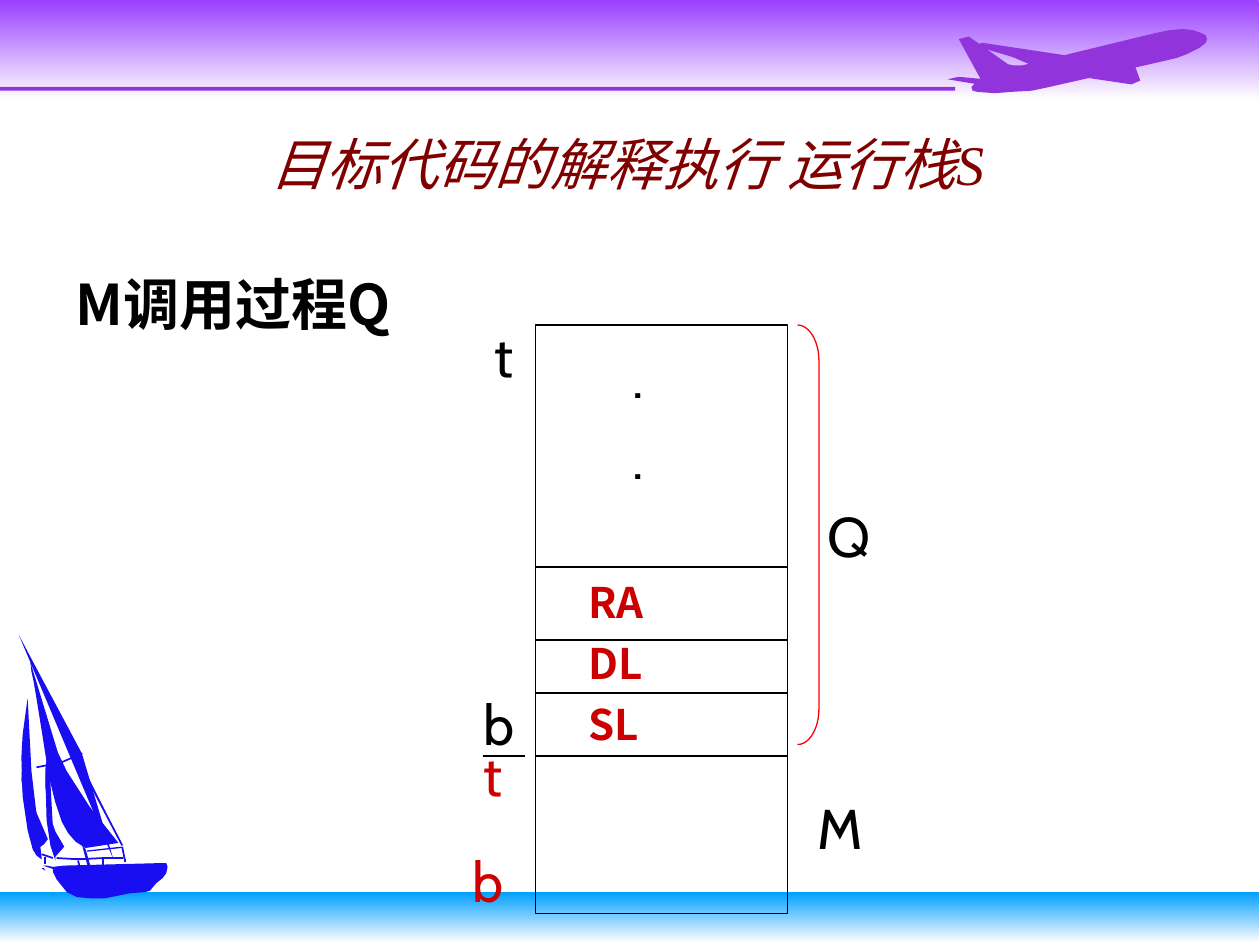
from dataclasses import dataclass
from lxml.etree import SubElement
from pptx import Presentation
from pptx.dml.color import RGBColor
from pptx.enum.shapes import MSO_CONNECTOR, MSO_SHAPE
from pptx.enum.text import MSO_ANCHOR, PP_ALIGN
from pptx.oxml.ns import qn
from pptx.util import Inches, Pt

PURPLE, BLUE, BLACK, RED = "9234DB", "190EF2", "000000", "CC0000"
CABIN, NOTO, TIMES = "Cabin", "Noto Sans CJK SC", "Times New Roman"


@dataclass
class Label:
    lines: list
    box: tuple
    color: str = BLACK
    font: str = CABIN
    size: int = 32
    bold: bool = False
    wrap: bool = False
    space: int = 8
    line_height: float = 0
    indent: float = 0


@dataclass
class Outline:
    color: str
    points: list
    line_width: float = 0


def rgb(value: str) -> RGBColor:
    return RGBColor.from_string(value)


def set_font(paragraph, name: str, **formats) -> None:
    """Format every run for Latin and East Asian text alike."""
    color = formats.pop("color")
    for run in paragraph.runs:
        run.font.name = name
        run.font.color.rgb = rgb(color)
        for key, value in formats.items():
            setattr(run.font, key, value)
        SubElement(run.font._element, qn("a:ea")).set("typeface", NOTO)


def set_indent(paragraph, inches: float) -> None:
    properties = paragraph._p.get_or_add_pPr()
    properties.set("marL", str(Inches(inches)))
    properties.set("indent", "0")


def add_line(slide, start: tuple, end: tuple, color=BLACK, width=0.75) -> None:
    line = slide.shapes.add_connector(
        MSO_CONNECTOR.STRAIGHT, *[Inches(v) for v in start + end])
    line.line.color.rgb = rgb(color)
    line.line.width = Pt(width)
    SubElement(line._element.spPr, qn("a:effectLst"))


def add_preset(slide, box: tuple, kind=MSO_SHAPE.RECTANGLE, fill="", line="", gradient=""):
    shape = slide.shapes.add_shape(kind, *[Inches(v) for v in box])
    shape.shadow.inherit = False
    if gradient:
        shape.fill.gradient()
        shape.fill.gradient_angle = 270
        for stop, color, position in zip(
                shape.fill.gradient_stops, (gradient, "FEFEFE"), (0, 1)):
            stop.color.rgb = rgb(color)
            stop.position = position
    elif fill:
        shape.fill.solid()
        shape.fill.fore_color.rgb = rgb(fill)
    else:
        shape.fill.background()
    if line:
        shape.line.color.rgb = rgb(line)
        shape.line.width = Pt(0.75)
    else:
        shape.line.fill.background()
    return shape


def add_outline(slide, outline: Outline) -> None:
    points = [(Inches(x), Inches(y)) for x, y in outline.points]
    builder = slide.shapes.build_freeform(*points[0])
    builder.add_line_segments(points[1:], close=not outline.line_width)
    shape = builder.convert_to_shape()
    shape.shadow.inherit = False
    shape.fill.solid()
    shape.fill.fore_color.rgb = rgb(outline.color)
    if outline.line_width:
        shape.line.color.rgb = rgb(outline.color)
        shape.line.width = Pt(outline.line_width)
    else:
        shape.line.fill.background()


def add_label(slide, label: Label) -> None:
    frame = slide.shapes.add_textbox(*[Inches(v) for v in label.box]).text_frame
    frame.word_wrap = label.wrap
    for index, line in enumerate(label.lines):
        paragraph = frame.paragraphs[0] if index == 0 else frame.add_paragraph()
        paragraph.text = line
        if index:
            paragraph.space_before = Pt(label.space)
        if label.line_height:
            paragraph.line_spacing = Pt(label.line_height)
        set_indent(paragraph, label.indent)
        set_font(paragraph, label.font, size=Pt(label.size), bold=label.bold,
                 color=label.color)


PLANE = [
    # Fuselage and tail fin
    Outline(PURPLE, [(7.61, .31), (7.69, .29), (8, .51), (8.05, .52), (8.11, .52), (9.18, .26),
                     (9.28, .24), (9.39, .23), (9.47, .24), (9.53, .26), (9.57, .28), (9.58, .31),
                     (9.57, .34), (9.52, .38), (9.42, .43), (9.34, .46), (9.17, .5), (8.33, .69),
                     (8.19, .72), (8.02, .73), (7.9, .74), (7.76, .73), (7.72, .72), (7.71, .69),
                     (7.75, .65), (7.79, .64)]),
    # Wings and tailplane
    Outline(PURPLE, [(8.64, .62), (8.98, .67), (9.05, .64), (9.01, .53)]),
    Outline(PURPLE, [(7.93, .64), (7.91, .65), (7.84, .67), (7.76, .67), (7.52, .63), (7.61, .61)]),
    Outline(PURPLE, [(8.6, .46), (7.8, .34), (7.72, .36), (8.03, .45), (8.22, .53)]),
]
BOAT = [
    # Hull
    Outline(BLUE, [(.42, 6.88), (.51, 6.87), (1.27, 6.85), (1.32, 6.85), (1.33, 6.88), (1.32, 6.93),
                   (1.29, 6.97), (1.24, 7.01), (1.19, 7.07), (1.15, 7.08), (1.03, 7.09), (.83, 7.13),
                   (.72, 7.13), (.61, 7.12), (.53, 7.08), (.45, 6.98), (.42, 6.92)]),
    # Mast and sails
    Outline(BLUE, [(.7, 6.89), (.65, 6.7), (.68, 6.74), (.72, 6.88)]),
    Outline(BLUE, [(.9, 6.82), (.65, 5.98), (.25, 5.23), (.15, 5.04)]),
    Outline(BLUE, [(.48, 6.04), (.4, 5.88), (.31, 5.61), (.25, 5.33), (.24, 5.25)]),
    Outline(BLUE, [(.94, 6.69), (.71, 6.4), (.53, 6.12), (.43, 5.91), (.36, 5.76), (.27, 5.42),
                   (.32, 5.73), (.39, 6.17), (.44, 6.37), (.49, 6.52), (.54, 6.61), (.6, 6.68),
                   (.68, 6.73)]),
    Outline(BLUE, [(.51, 6.72), (.44, 6.6), (.39, 6.46), (.37, 6.31), (.36, 6.13), (.37, 6.51),
                   (.4, 6.71), (.44, 6.83), (.44, 6.8)]),
    Outline(BLUE, [(.38, 5.95), (.36, 6.11), (.36, 6.24), (.38, 6.42), (.42, 6.56), (.39, 6.01)]),
    Outline(BLUE, [(.22, 5.54), (.18, 5.83), (.17, 6.01), (.18, 6.32), (.22, 6.59), (.26, 6.74),
                   (.29, 6.79), (.33, 6.82), (.33, 6.8), (.25, 6.12)]),
    Outline(BLUE, [(.18, 5.94), (.23, 6.27), (.29, 6.45), (.38, 6.66), (.35, 6.7), (.27, 6.76),
                   (.22, 6.55), (.17, 6.19)]),
    # Deck fittings and boom
    Outline(BLUE, [(.33, 6.89), (.35, 6.89), (.36, 6.91)]),
    Outline(BLUE, [(.34, 6.87), (.37, 6.87), (.47, 6.89), (.46, 6.91)]),
    Outline(BLUE, [(.69, 6.75), (.96, 6.72), (.97, 6.73), (.69, 6.76)]),
    # Stays and railing
    Outline(BLUE, [(.97, 6.71), (.6, 6), (.25, 5.26)], 1),
    Outline(BLUE, [(.49, 6.05), (.65, 5.98), (.49, 6.05), (.29, 6.09)], 1),
    Outline(BLUE, [(.98, 6.81), (.82, 6.81), (.62, 6.82), (.45, 6.81)], 1),
]
RIGGING = [((.99, 6.82), (.97, 6.72)), ((.82, 6.82), (.82, 6.87)), ((.62, 6.83), (.63, 6.87)),
           ((.36, 6.8), (.36, 6.86)), ((.42, 6.81), (.33, 6.78)), ((.99, 6.82), (.99, 6.84))]
LABELS = [
    Label(["M调用过程Q"], (.5, 2.09, 8.94, .8), font=NOTO, bold=True, wrap=True, line_height=38.4),
    Label(["RA", "DL", "SL"], (4.42, 4.52, 1.75, 1.47), RED, NOTO, 24, True, True, 6, 29, .15),
    Label([".", "."], (4.92, 2.67, .5, 1.28), wrap=True),
    Label(["t"], (3.83, 2.5, .36, .64)),
    Label(["b"], (3.74, 5.42, .47, .64)),
    Label(["t"], (3.74, 5.83, .36, .64), RED),
    Label(["b"], (3.65, 6.67, .47, .64), RED),
    Label(["Q"], (6.47, 3.93, .55, .64)),
    Label(["M"], (6.39, 6.25, .6, .64)),
]


def main() -> None:
    presentation = Presentation()
    presentation.slide_width, presentation.slide_height = Inches(10), Inches(7.5)
    slide = presentation.slides.add_slide(presentation.slide_layouts[5])

    # Sky, rule and sea
    add_preset(slide, (0, 0, 9.99, .79), gradient="993FFF")
    add_preset(slide, (0, .69, 7.58, .03), fill=PURPLE)
    add_preset(slide, (0, 7.08, 9.99, .4), gradient="009FFF")
    for outline in PLANE + BOAT:
        add_outline(slide, outline)
    for start, end in RIGGING:
        add_line(slide, start, end, BLUE, 1)

    # Title
    title = slide.shapes.title
    for key, value in dict(left=.67, top=.92, width=8.5, height=.75).items():
        setattr(title, key, Inches(value))
    title.text_frame.text = "目标代码的解释执行 运行栈S"
    title.text_frame.vertical_anchor = MSO_ANCHOR.MIDDLE
    paragraph = title.text_frame.paragraphs[0]
    paragraph.alignment = PP_ALIGN.CENTER
    set_indent(paragraph, .12)
    set_font(paragraph, TIMES, size=Pt(32), italic=True, color="800000")

    # Stack frames of Q and M
    for top, height in ((2.58, 3.42), (6, 1.25)):
        add_preset(slide, (4.25, top, 2, height), line=BLACK)
    for y in (4.5, 5.08, 5.5):
        add_line(slide, (4.25, y), (6.25, y))
    add_line(slide, (3.83, 6), (4.17, 6))
    bracket = add_preset(slide, (6.33, 2.58, .17, 3.33), MSO_SHAPE.RIGHT_BRACKET, line="FF0000")
    bracket.adjustments[0] = 1.67

    for label in LABELS:
        add_label(slide, label)
    presentation.save("out.pptx")


if __name__ == "__main__":
    main()
